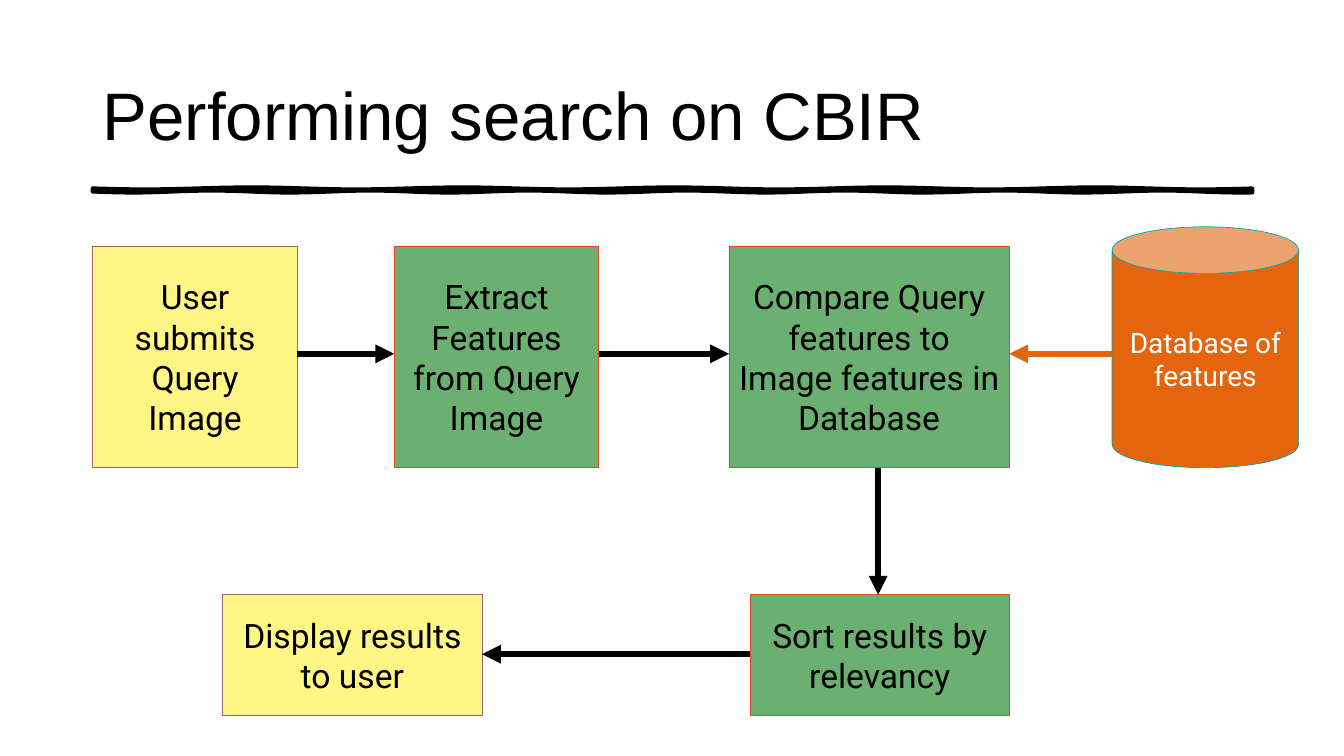
from math import sin

from lxml import etree
from pptx import Presentation
from pptx.dml.color import RGBColor
from pptx.enum.shapes import MSO_CONNECTOR, MSO_SHAPE
from pptx.enum.text import MSO_ANCHOR, PP_ALIGN
from pptx.oxml.ns import qn
from pptx.util import Inches, Pt

BLACK = RGBColor(0x00, 0x00, 0x00)
WHITE = RGBColor(0xFF, 0xFF, 0xFF)
YELLOW = RGBColor(0xFF, 0xF6, 0x85)
GREEN = RGBColor(0x6B, 0xB0, 0x70)
ORANGE = RGBColor(0xE4, 0x65, 0x0E)
MAUVE = RGBColor(0x9C, 0x6A, 0x6A)
RED = RGBColor(0xE6, 0x48, 0x23)
TEAL = RGBColor(0x00, 0xA5, 0xAB)


def add_title(slide, box, text):
    title = slide.shapes.title
    title.left, title.top, title.width, title.height = map(Inches, box)
    frame = title.text_frame
    frame.text = text
    frame.word_wrap = True
    frame.vertical_anchor = MSO_ANCHOR.MIDDLE
    heading = frame.paragraphs[0]
    heading.alignment = PP_ALIGN.LEFT
    heading.font.name = "Arial"
    heading.font.size = Pt(48)
    heading.font.color.rgb = BLACK


def add_brush_rule(slide, box):
    """Hand-drawn rule: a thin ribbon whose two edges waver."""
    left, top, width, height = box
    steps = 92
    xs = [left + width * i / steps for i in range(steps + 1)]
    upper = [(x, top + 0.01 * sin(3 * (x - left))) for x in xs]
    lower = [(x, top + height + 0.01 * sin(4 * (x - left))) for x in reversed(xs)]
    outline = [(Inches(x), Inches(y)) for x, y in upper + lower]
    builder = slide.shapes.build_freeform(*outline[0])
    builder.add_line_segments(outline[1:], close=True)
    rule = builder.convert_to_shape()
    rule.shadow.inherit = False
    rule.fill.solid()
    rule.fill.fore_color.rgb = BLACK
    rule.line.color.rgb = BLACK
    rule.line.width = Pt(3)


def add_step(slide, box, text, fill, border, kind=MSO_SHAPE.RECTANGLE,
             size=24, color=BLACK):
    step = slide.shapes.add_shape(kind, *map(Inches, box))
    step.shadow.inherit = False
    step.fill.solid()
    step.fill.fore_color.rgb = fill
    step.line.color.rgb = border
    step.line.width = Pt(0.5)
    frame = step.text_frame
    frame.text = text
    frame.word_wrap = True
    frame.vertical_anchor = MSO_ANCHOR.MIDDLE
    label = frame.paragraphs[0]
    label.alignment = PP_ALIGN.CENTER
    label.font.name = "Roboto"
    label.font.size = Pt(size)
    label.font.color.rgb = color


def add_arrow(slide, start, end, color=BLACK):
    arrow = slide.shapes.add_connector(
        MSO_CONNECTOR.STRAIGHT, *map(Inches, start + end))
    arrow.line.color.rgb = color
    arrow.line.width = Pt(4.5)
    etree.SubElement(arrow.line._get_or_add_ln(), qn("a:tailEnd"), type="triangle")
    etree.SubElement(arrow._element.spPr, qn("a:effectLst"))


def add_search_flow(slide, box):
    left, top, width, height = box
    right, bottom = left + width, top + height

    # Upper row stands on one base line, lower row on the bottom edge
    row_top, row_height, low_height = top + 0.19, 2.2, 1.2
    base, low_top = row_top + row_height, bottom - low_height
    user_w, compare_w, result_w, database_w = 2.03, 2.78, 2.57, 1.85
    extract_x, compare_x = left + 2.99, left + 6.31
    compare_right = compare_x + compare_w
    database_x = right - database_w
    sort_x, display_x = compare_right - result_w, left + 1.29

    # Steps
    add_step(slide, (database_x, top, database_w, base - top),
             "Database of features", ORANGE, TEAL, MSO_SHAPE.CAN, 20, WHITE)
    add_step(slide, (left, row_top, user_w, row_height),
             "User submits Query Image", YELLOW, MAUVE)
    add_step(slide, (display_x, low_top, result_w, low_height),
             "Display results to user", YELLOW, MAUVE)
    add_step(slide, (compare_x, row_top, compare_w, row_height),
             "Compare Query features to Image features in Database", GREEN, RED)
    add_step(slide, (sort_x, low_top, result_w, low_height),
             "Sort results by relevancy", GREEN, RED)
    add_step(slide, (extract_x, row_top, user_w, row_height),
             "Extract Features from Query Image", GREEN, RED)

    # Arrows
    row_y, low_y, drop_x = row_top + 1.07, low_top + 0.59, compare_x + 1.48
    add_arrow(slide, (left + user_w, row_y), (extract_x, row_y))
    add_arrow(slide, (database_x, row_y), (compare_right, row_y), ORANGE)
    add_arrow(slide, (extract_x + user_w, row_y), (compare_x, row_y))
    add_arrow(slide, (drop_x, base), (drop_x, low_top))
    add_arrow(slide, (sort_x, low_y), (display_x + result_w, low_y))


def main():
    deck = Presentation()
    deck.slide_width, deck.slide_height = Inches(13.33), Inches(7.5)
    slide = deck.slides.add_slide(deck.slide_layouts[5])
    add_brush_rule(slide, (0.92, 1.87, 11.5, 0.03))
    add_title(slide, (0.92, 0.4, 11.5, 1.45), "Performing search on CBIR")
    add_search_flow(slide, (0.92, 2.25, 11.96, 4.85))
    deck.save("out.pptx")


if __name__ == "__main__":
    main()
